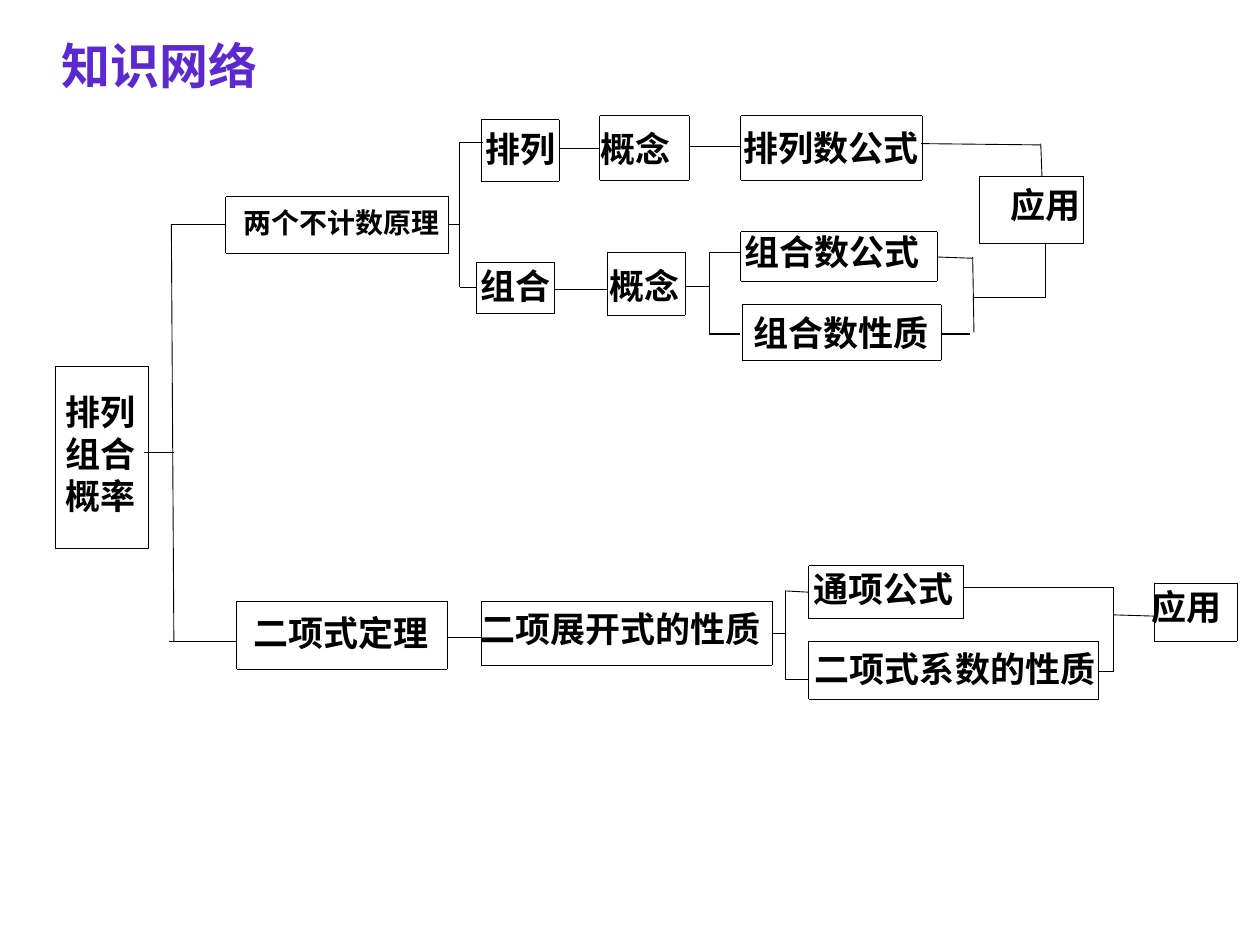
"""Build the knowledge network slide on permutations, combinations and the binomial theorem."""
from pptx import Presentation
from pptx.dml.color import RGBColor
from pptx.enum.shapes import MSO_CONNECTOR
from pptx.enum.text import MSO_ANCHOR, MSO_AUTO_SIZE, PP_ALIGN
from pptx.oxml.ns import qn
from pptx.util import Inches, Pt
from lxml.etree import SubElement

BLACK = RGBColor(0x00, 0x00, 0x00)
PURPLE = RGBColor(0x5C, 0x28, 0xD0)
THIN, MEDIUM = 0.5, 0.75

FRAMES = [
    (1.79, 1.56, 3.56, 2.01),
    (3.82, 0.95, 4.44, 1.44),
    (4.76, 0.92, 5.47, 1.43),
    (5.88, 0.92, 7.32, 1.43),
    (3.78, 2.08, 4.4, 2.49),
    (4.82, 2, 5.44, 2.5),
    (5.88, 1.84, 7.44, 2.23),
    (5.89, 2.42, 7.47, 2.86),
    (7.77, 1.4, 8.6, 1.93),
    (1.88, 4.77, 3.55, 5.31),
    (3.82, 4.77, 6.13, 5.28),
    (6.42, 4.49, 7.65, 4.91),
    (6.42, 5.09, 8.72, 5.55),
    (9.16, 4.63, 9.82, 5.09),
    (0.44, 2.91, 1.18, 4.35),
]

LINKS = {
    THIN: [
        (1.36, 1.78, 1.38, 5.09),
        (1.36, 1.78, 1.79, 1.78),
        (1.34, 5.09, 1.88, 5.09),
        (3.56, 1.78, 3.65, 1.78),
        (3.65, 1.13, 3.65, 2.28),
        (3.65, 1.13, 3.83, 1.13),
        (3.65, 2.28, 3.78, 2.28),
        (4.44, 1.18, 4.76, 1.18),
        (5.47, 1.16, 5.87, 1.16),
        (7.31, 1.14, 8.26, 1.15),
        (8.26, 1.14, 8.27, 1.4),
        (4.4, 2.3, 4.82, 2.3),
        (5.44, 2.27, 5.63, 2.27),
        (5.63, 2, 5.63, 2.65),
        (5.63, 2, 5.88, 2),
        (7.44, 2.04, 7.72, 2.05),
        (7.72, 2.04, 7.73, 2.64),
        (7.72, 2.36, 8.3, 2.36),
        (8.3, 1.93, 8.3, 2.36),
        (3.55, 5.06, 3.82, 5.06),
        (6.13, 5.03, 6.23, 5.03),
        (6.23, 4.69, 6.23, 5.39),
        (6.23, 4.69, 6.42, 4.7),
        (6.23, 5.39, 6.42, 5.39),
        (7.65, 4.66, 8.84, 4.66),
        (8.84, 4.66, 8.84, 5.33),
        (8.72, 5.33, 8.84, 5.33),
        (8.84, 4.88, 9.16, 4.89),
    ],
    MEDIUM: [
        (1.14, 3.59, 1.38, 3.59),
        (7.7, 2.65, 7.47, 2.65),
        (5.87, 2.65, 5.63, 2.65),
    ],
}

LABELS = [
    ("排列", 20, (3.82, 1.01, 0.63, 0.45)),
    ("概念", 20, (4.69, 1.01, 0.71, 0.45)),
    ("概念", 20, (4.76, 2.1, 0.71, 0.45)),
    ("组合", 20, (3.74, 2.1, 0.71, 0.42)),
    ("两个不计数原理", 16, (1.61, 1.63, 2.2, 0.45)),
    ("二项式定理", 20, (1.96, 4.85, 1.49, 0.45)),
    ("排列\n组合\n概率", 20, (0.5, 3.1, 0.6, 1.41)),
    ("二项展开式的性质", 20, (3.72, 4.82, 2.41, 0.45)),
    ("排列数公式", 20, (5.85, 1, 1.49, 0.45)),
    ("组合数公式", 20, (5.86, 1.83, 1.49, 0.45)),
    ("组合数性质", 20, (5.93, 2.47, 1.49, 0.45)),
    ("通项公式", 20, (6.27, 4.5, 1.49, 0.45)),
    ("二项式系数的性质", 20, (6.44, 5.14, 2.28, 0.45)),
    ("应用", 20, (9.12, 4.65, 0.6, 0.45)),
    ("应用", 20, (7.97, 1.46, 0.65, 0.45)),
]


def draw_line(page, ends, width):
    line = page.shapes.add_connector(MSO_CONNECTOR.STRAIGHT, *map(Inches, ends))
    line.line.color.rgb = BLACK
    line.line.width = Pt(width)
    SubElement(line._element.spPr, qn("a:effectLst"))


def format_text(box, text, align, margins, size, color):
    frame = box.text_frame
    frame.text = text
    side, edge = map(Inches, margins)
    frame_format = {
        "word_wrap": True,
        "auto_size": MSO_AUTO_SIZE.NONE,
        "vertical_anchor": MSO_ANCHOR.TOP,
        "margin_left": side,
        "margin_right": side,
        "margin_top": edge,
        "margin_bottom": edge,
    }
    for name, value in frame_format.items():
        setattr(frame, name, value)
    font_format = {"name": "Times New Roman", "size": Pt(size), "bold": True}
    for para in frame.paragraphs:
        para.alignment = align
        for span in para.runs:
            for name, value in font_format.items():
                setattr(span.font, name, value)
            span.font.color.rgb = color


deck = Presentation()
deck.slide_width, deck.slide_height = Inches(10), Inches(7.5)
page = deck.slides.add_slide(deck.slide_layouts[5])

title = page.shapes.title
title_place = {"left": 0.39, "top": 0.23, "width": 1.89, "height": 0.57}
for name, value in title_place.items():
    setattr(title, name, Inches(value))
format_text(title, "知识网络", PP_ALIGN.LEFT, (0.1, 0.05), 28, PURPLE)

for left, top, right, bottom in FRAMES:
    for x in (left, right):
        draw_line(page, (x, top, x, bottom), THIN)
    for y in (top, bottom):
        draw_line(page, (left, y, right, y), THIN)

for width, links in LINKS.items():
    for ends in links:
        draw_line(page, ends, width)

for text, size, place in LABELS:
    label = page.shapes.add_textbox(*map(Inches, place))
    format_text(label, text, PP_ALIGN.CENTER, (0, 0), size, BLACK)

deck.save("out.pptx")
